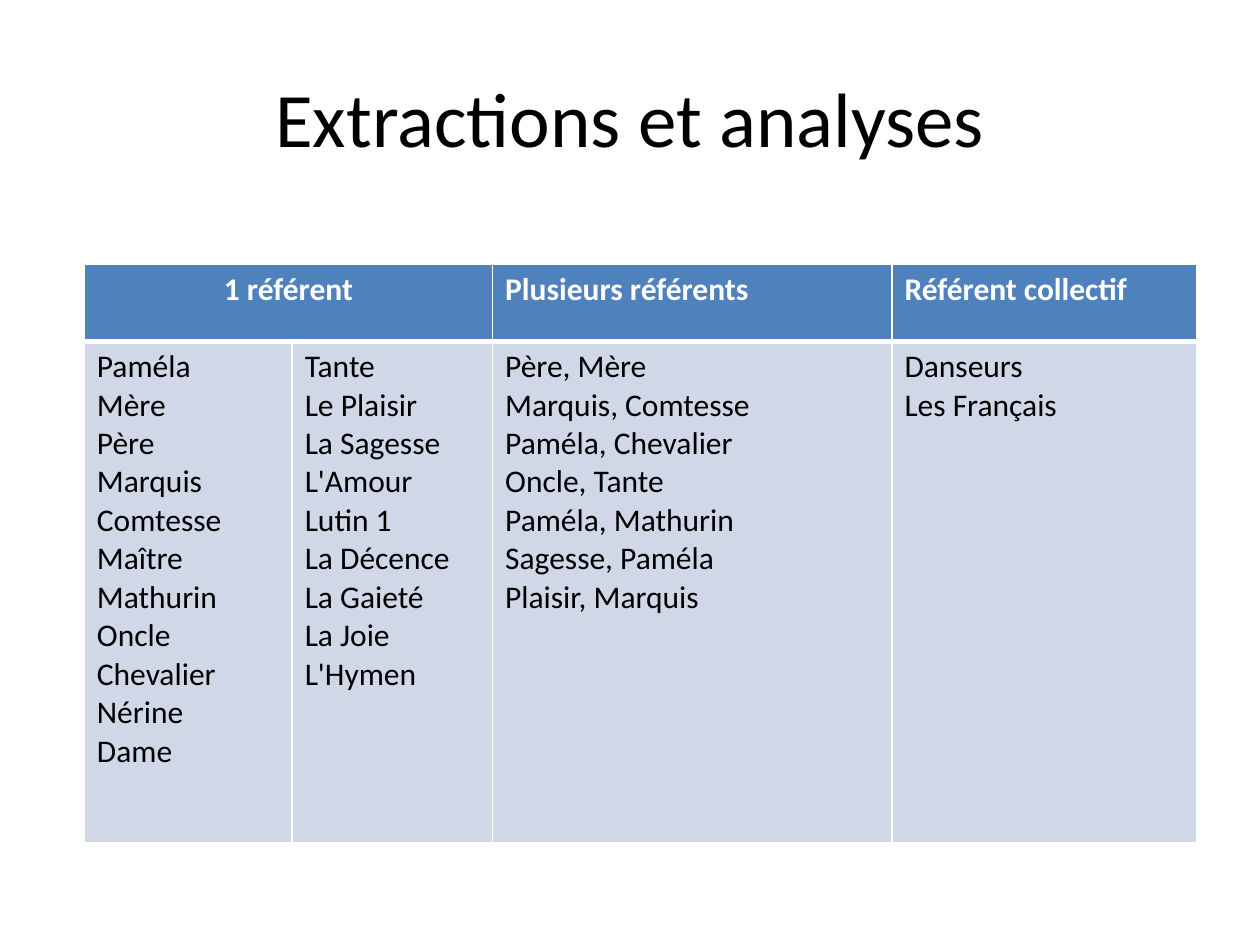
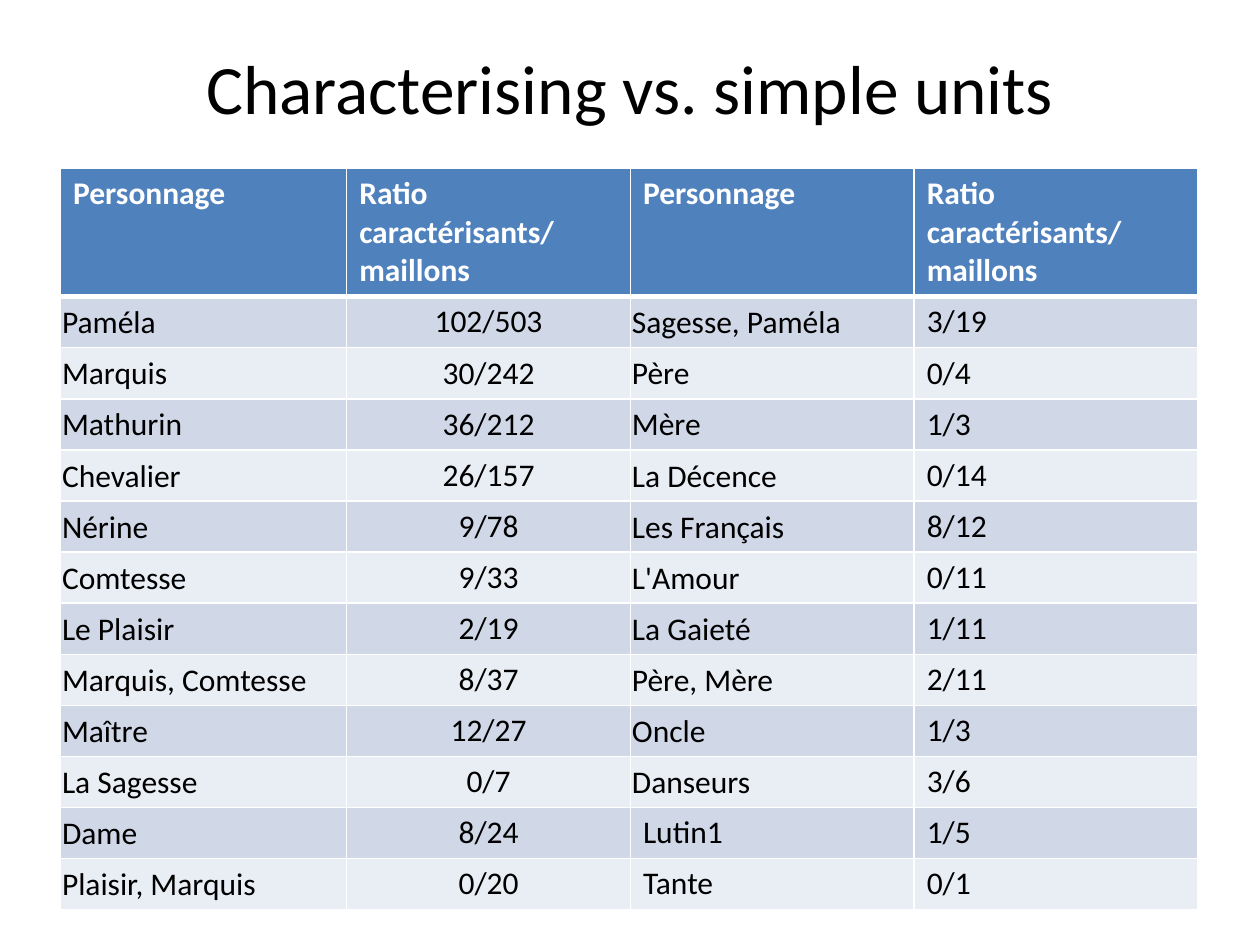
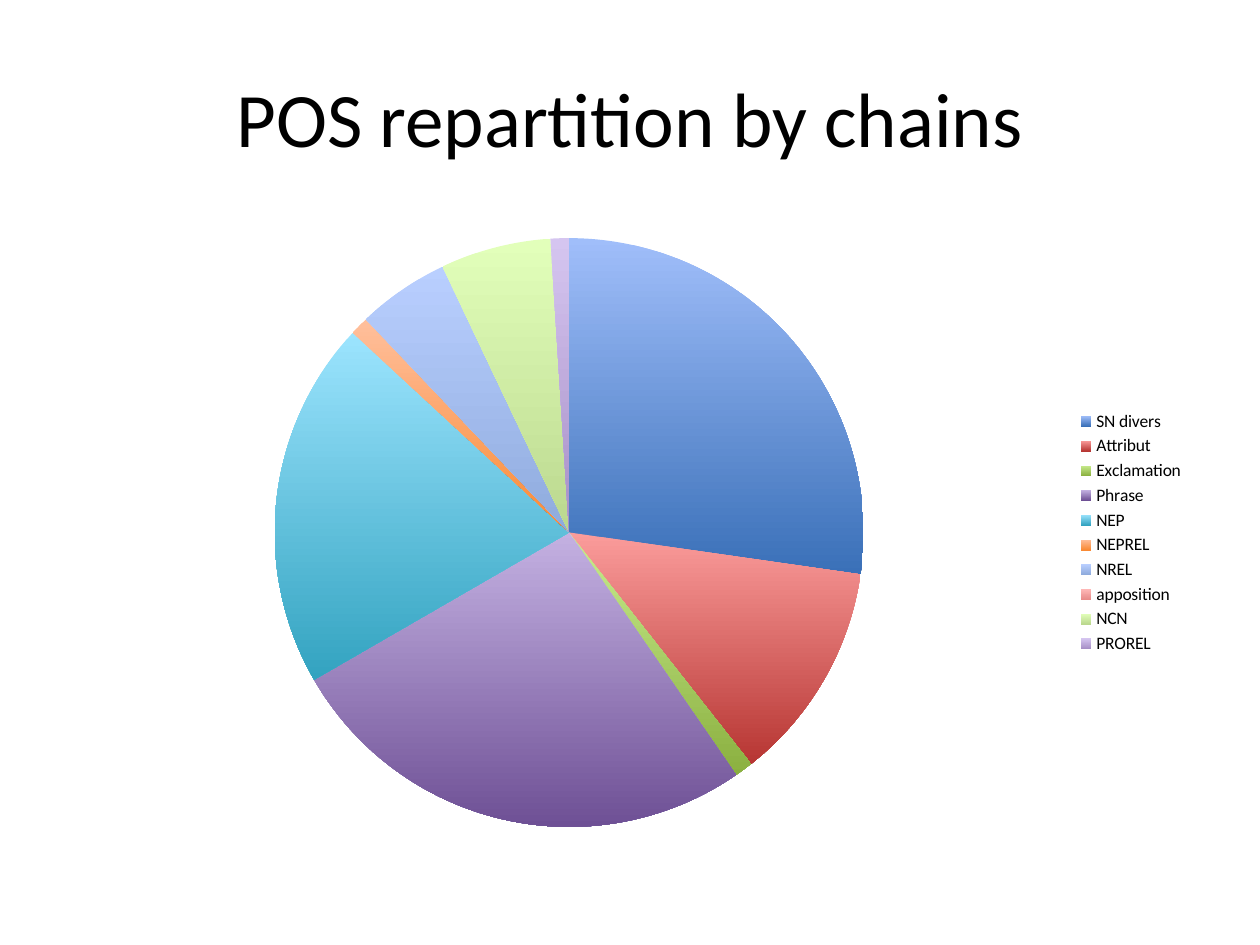
import pptx
import pptx.chart.data
import pptx.dml.color
import pptx.enum.chart
import pptx.enum.text
import pptx.oxml
import pptx.oxml.ns
import pptx.util

Cm = pptx.util.Cm
Pt = pptx.util.Pt
RGBColor = pptx.dml.color.RGBColor
ALIGN = pptx.enum.text.PP_ALIGN
ANCHOR = pptx.enum.text.MSO_ANCHOR

FONT = "Calibri"
BLACK = RGBColor(0x00, 0x00, 0x00)
WHITE = RGBColor(0xFF, 0xFF, 0xFF)
HEADER_BLUE = RGBColor(0x4F, 0x81, 0xBD)
BANDS = (RGBColor(0xD0, 0xD8, 0xE8), RGBColor(0xE9, 0xED, 0xF4))

REFERENT_HEADERS = ["1 référent", "", "Plusieurs référents", "Référent collectif"]
REFERENTS = [
    ["Paméla", "Mère", "Père", "Marquis", "Comtesse", "Maître", "Mathurin",
     "Oncle", "Chevalier", "Nérine", "Dame"],
    ["Tante", "Le Plaisir", "La Sagesse", "L'Amour", "Lutin 1", "La Décence",
     "La Gaieté", "La Joie", "L'Hymen"],
    ["Père, Mère", "Marquis, Comtesse", "Paméla, Chevalier", "Oncle, Tante",
     "Paméla, Mathurin", "Sagesse, Paméla", "Plaisir, Marquis"],
    ["Danseurs", "Les Français"],
]

RATIO_HEADERS = ["Personnage", "Ratio caractérisants/ maillons"] * 2
RATIOS = [
    ("Paméla", "102/503", "Sagesse, Paméla", "3/19"),
    ("Marquis", "30/242", "Père", "0/4"),
    ("Mathurin", "36/212", "Mère", "1/3"),
    ("Chevalier", "26/157", "La Décence", "0/14"),
    ("Nérine", "9/78", "Les Français", "8/12"),
    ("Comtesse", "9/33", "L'Amour", "0/11"),
    ("Le Plaisir", "2/19", "La Gaieté", "1/11"),
    ("Marquis, Comtesse", "8/37", "Père, Mère", "2/11"),
    ("Maître", "12/27", "Oncle", "1/3"),
    ("La Sagesse", "0/7", "Danseurs", "3/6"),
    ("Dame", "8/24", "Lutin1", "1/5"),
    ("Plaisir, Marquis", "0/20", "Tante", "0/1"),
]
INDENTED_NAMES = ("Lutin1", "Tante")

POS_SLICES = [
    ("SN divers", 27, RGBColor(0xA0, 0xBE, 0xFA), RGBColor(0x3A, 0x70, 0xB8)),
    ("Attribut", 12, RGBColor(0xFB, 0x9C, 0x9B), RGBColor(0xB7, 0x36, 0x33)),
    ("Exclamation", 1, RGBColor(0xC8, 0xEC, 0x8E), RGBColor(0x8B, 0xB0, 0x40)),
    ("Phrase", 26, RGBColor(0xC4, 0xB1, 0xE2), RGBColor(0x6E, 0x50, 0x95)),
    ("NEP", 20, RGBColor(0x9C, 0xE4, 0xFE), RGBColor(0x33, 0xA3, 0xC0)),
    ("NEPREL", 1, RGBColor(0xFF, 0xBF, 0x9C), RGBColor(0xF9, 0x8A, 0x35)),
    ("NREL", 5, RGBColor(0xB9, 0xCF, 0xFF), RGBColor(0x8F, 0xAB, 0xDD)),
    ("apposition", 0, RGBColor(0xFF, 0xB9, 0xB8), RGBColor(0xE8, 0x8C, 0x8A)),
    ("NCN", 6, RGBColor(0xE2, 0xFF, 0xBA), RGBColor(0xBB, 0xD8, 0x8F)),
    ("PROREL", 1, RGBColor(0xD5, 0xC5, 0xF0), RGBColor(0xA7, 0x8F, 0xC6)),
]


def write_text(frame, lines, size=18, color=BLACK, bold=False, align=ALIGN.LEFT):
    for index, line in enumerate(lines):
        para = frame.add_paragraph() if index else frame.paragraphs[0]
        para.alignment = align
        span = para.add_run()
        span.text = line
        span.font.name = FONT
        span.font.size = Pt(size)
        span.font.bold = bold
        span.font.color.rgb = color


def add_titled_page(deck, title, height=3.18, size=44):
    page = deck.slides.add_slide(deck.slide_layouts[5])
    for holder in list(page.placeholders):
        if holder.placeholder_format.idx:
            holder.element.getparent().remove(holder.element)
    box = page.shapes.title
    box.left, box.top, box.width, box.height = Cm(1.27), Cm(0.76), Cm(22.86), Cm(height)
    frame = box.text_frame
    frame.word_wrap = True
    frame.auto_size = pptx.enum.text.MSO_AUTO_SIZE.NONE
    frame.vertical_anchor = ANCHOR.MIDDLE
    write_text(frame, [title], size=size, align=ALIGN.CENTER)
    return page


def set_borders(cell, top=1, bottom=1):
    properties = cell._tc.get_or_add_tcPr()
    for side, width in (("L", 1), ("R", 1), ("T", top), ("B", bottom)):
        properties.append(pptx.oxml.parse_xml(
            f'<a:ln{side} {pptx.oxml.ns.nsdecls("a")} w="{Pt(width)}">'
            f'<a:solidFill><a:srgbClr val="{WHITE}"/></a:solidFill></a:ln{side}>'))


def fill_cell(cell, fill, lines, top=1, bottom=1, **text_format):
    set_borders(cell, top, bottom)
    cell.fill.solid()
    cell.fill.fore_color.rgb = fill
    write_text(cell.text_frame, lines, **text_format)


def add_grid(page, left, top, widths, heights):
    grid = page.shapes.add_table(
        len(heights), len(widths), Cm(left), Cm(top), Cm(sum(widths)), Cm(sum(heights))).table
    for column, width in zip(grid.columns, widths):
        column.width = Cm(width)
    for row, height in zip(grid.rows, heights):
        row.height = Cm(height)
    return grid


def fill_header(grid, labels, centred=()):
    for column, label in enumerate(labels):
        fill_cell(grid.cell(0, column), HEADER_BLUE, [label] if label else [],
                  bottom=3, color=WHITE, bold=True,
                  align=ALIGN.CENTER if column in centred else ALIGN.LEFT)


def add_referents_table(page):
    grid = add_grid(page, 1.7, 5.33, [4.19, 4.04, 8.05, 6.15], [1.55, 10.11])
    fill_header(grid, REFERENT_HEADERS, centred=(0,))
    grid.cell(0, 0).merge(grid.cell(0, 1))
    for column, names in enumerate(REFERENTS):
        fill_cell(grid.cell(1, column), BANDS[0], names, top=3)


def add_ratios_table(page):
    grid = add_grid(page, 1.22, 3.4, [5.77] + [5.72] * 3, [2.54] + [1.03] * len(RATIOS))
    fill_header(grid, RATIO_HEADERS)
    for row, values in enumerate(RATIOS, start=1):
        for column, value in enumerate(values):
            cell = grid.cell(row, column)
            fill_cell(cell, BANDS[(row - 1) % 2], [value], top=3 if row == 1 else 1,
                      align=ALIGN.CENTER if column == 1 else ALIGN.LEFT)
            if column % 2 == 0 and value not in INDENTED_NAMES:
                cell.vertical_anchor = ANCHOR.MIDDLE
                cell.margin_left = cell.margin_top = cell.margin_right = Cm(0.03)
                cell.margin_bottom = 0


def add_pos_pie(page):
    data = pptx.chart.data.CategoryChartData()
    data.categories = [name for name, *_ in POS_SLICES]
    data.add_series("Series 1", [value for _, value, *_ in POS_SLICES])
    chart = page.shapes.add_chart(
        pptx.enum.chart.XL_CHART_TYPE.PIE,
        Cm(1.27), Cm(4.45), Cm(22.86), Cm(12.57), data).chart
    chart.has_title = False
    chart.font.name = FONT
    chart.font.size = Pt(10)
    chart.font.color.rgb = BLACK
    chart.has_legend = True
    chart.legend.position = pptx.enum.chart.XL_LEGEND_POSITION.RIGHT
    chart.legend.include_in_layout = False
    plot = chart.plots[0]
    plot.vary_by_categories = True
    for index, (_, _, light, dark) in enumerate(POS_SLICES):
        look = plot.series[0].points[index].format
        look.line.fill.background()
        look.fill.gradient()
        look.fill.gradient_angle = 270
        for stop, color in zip(look.fill.gradient_stops, (light, dark)):
            stop.color.rgb = color


def main():
    deck = pptx.Presentation()
    deck.slide_width, deck.slide_height = Cm(25.4), Cm(19.05)
    add_referents_table(add_titled_page(deck, "Extractions et analyses"))
    add_ratios_table(add_titled_page(
        deck, "Characterising vs. simple units", height=1.98, size=39.6))
    add_pos_pie(add_titled_page(deck, "POS repartition by chains"))
    deck.save("out.pptx")


if __name__ == "__main__":
    main()
